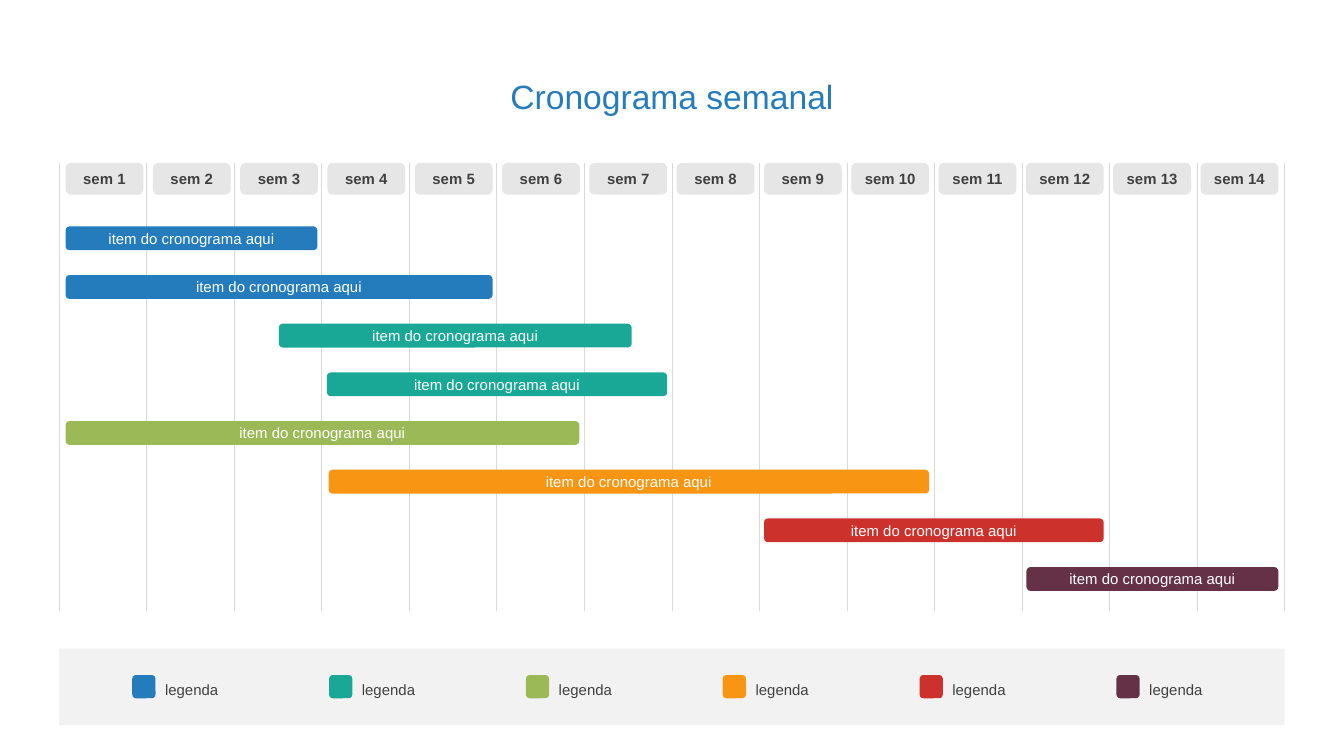
from lxml.etree import SubElement
from pptx import Presentation
from pptx.dml.color import RGBColor
from pptx.enum.shapes import MSO_CONNECTOR, MSO_SHAPE
from pptx.enum.text import MSO_ANCHOR, MSO_AUTO_SIZE, PP_ALIGN
from pptx.oxml.ns import qn
from pptx.util import Cm, Pt

COLORS = {
    "blue": "247CBC", "teal": "19A896", "green": "9BB957",
    "orange": "F89613", "red": "CC312C", "plum": "653147",
    "header": "E7E6E6", "grid": "D9D9D9", "band": "F2F2F2",
    "text": "404040", "white": "FFFFFF",
}
CATEGORIES = ["blue", "teal", "green", "orange", "red", "plum"]
WEEKS = 14

# Left edge and length of each task in cm, from the left of the chart
TASKS = [
    ("blue", 0.12, 4.76), ("blue", 0.12, 8.07),
    ("teal", 4.15, 6.67), ("teal", 5.06, 6.43),
    ("green", 0.12, 9.71), ("orange", 5.09, 11.35),
    ("red", 13.32, 6.42), ("plum", 18.28, 4.76),
]


def color(name):
    return RGBColor.from_string(COLORS[name])


def write(shape, text, size, color_name, align, bold=False):
    frame = shape.text_frame
    frame.vertical_anchor = MSO_ANCHOR.MIDDLE
    frame.text = text
    para = frame.paragraphs[0]
    para.alignment = align
    para.font.name = "Arial"
    para.font.size = Pt(size)
    para.font.bold = bold
    para.font.color.rgb = color(color_name)
    return frame


def add_block(shapes, kind, box, fill):
    block = shapes.add_shape(kind, *map(Cm, box))
    block.shadow.inherit = False
    block.fill.solid()
    block.fill.fore_color.rgb = color(fill)
    block.line.fill.background()
    return block


def add_label_block(shapes, box, fill, text, text_color, bold=False):
    block = add_block(shapes, MSO_SHAPE.ROUNDED_RECTANGLE, box, fill)
    frame = write(block, text, 8, text_color, PP_ALIGN.CENTER, bold)
    frame.margin_left = frame.margin_right = 0
    frame.margin_top = frame.margin_bottom = 0


def add_title(slide, box):
    title = slide.shapes.title
    title.left, title.top, title.width, title.height = map(Cm, box)
    frame = write(title, "Cronograma semanal", 18, "blue", PP_ALIGN.CENTER)
    frame.word_wrap = False
    frame.auto_size = MSO_AUTO_SIZE.SHAPE_TO_FIT_TEXT


def add_schedule(slide, box):
    left, top, width, height = box

    # Week headers
    for week in range(WEEKS):
        header = (left + 0.12 + 1.65 * week, top, 1.47, 0.6)
        add_label_block(slide.shapes, header, "header", f"sem {week + 1}", "text", True)

    # Week separators
    grid = slide.shapes.add_group_shape()
    for index in range(WEEKS + 1):
        x = Cm(left + width / WEEKS * index)
        line = grid.shapes.add_connector(
            MSO_CONNECTOR.STRAIGHT, x, Cm(top), x, Cm(top + height))
        line.line.color.rgb = color("grid")
        line.line.width = Pt(0.5)
        SubElement(line.element.spPr, qn("a:effectLst"))

    # Task bars
    for row, (fill, start, length) in enumerate(TASKS):
        bar = (left + start, top + 1.2 + 0.92 * row, length, 0.45)
        add_label_block(slide.shapes, bar, fill, "item do cronograma aqui", "white")


def add_legend(slide, box):
    left, top, _, _ = box
    add_block(slide.shapes, MSO_SHAPE.RECTANGLE, box, "band")
    for index, fill in enumerate(CATEGORIES):
        x = left + 1.38 + 3.72 * index
        entry = slide.shapes.add_group_shape()
        add_block(entry.shapes, MSO_SHAPE.ROUNDED_RECTANGLE,
                  (x, top + 0.5, 0.44, 0.44), fill)
        label = entry.shapes.add_textbox(Cm(x + 0.37), Cm(top + 0.47), Cm(1.52), Cm(0.6))
        frame = write(label, "legenda", 8, "text", PP_ALIGN.LEFT)
        frame.word_wrap = False
        frame.auto_size = MSO_AUTO_SIZE.SHAPE_TO_FIT_TEXT


def main():
    deck = Presentation()
    deck.slide_width, deck.slide_height = Cm(25.4), Cm(14.29)
    slide = deck.slides.add_slide(deck.slide_layouts[5])
    add_title(slide, (9.37, 1.3, 6.66, 1.02))
    add_schedule(slide, (1.12, 3.08, 23.16, 8.47))
    add_legend(slide, (1.12, 12.26, 23.16, 1.45))
    deck.save("out.pptx")


if __name__ == "__main__":
    main()
